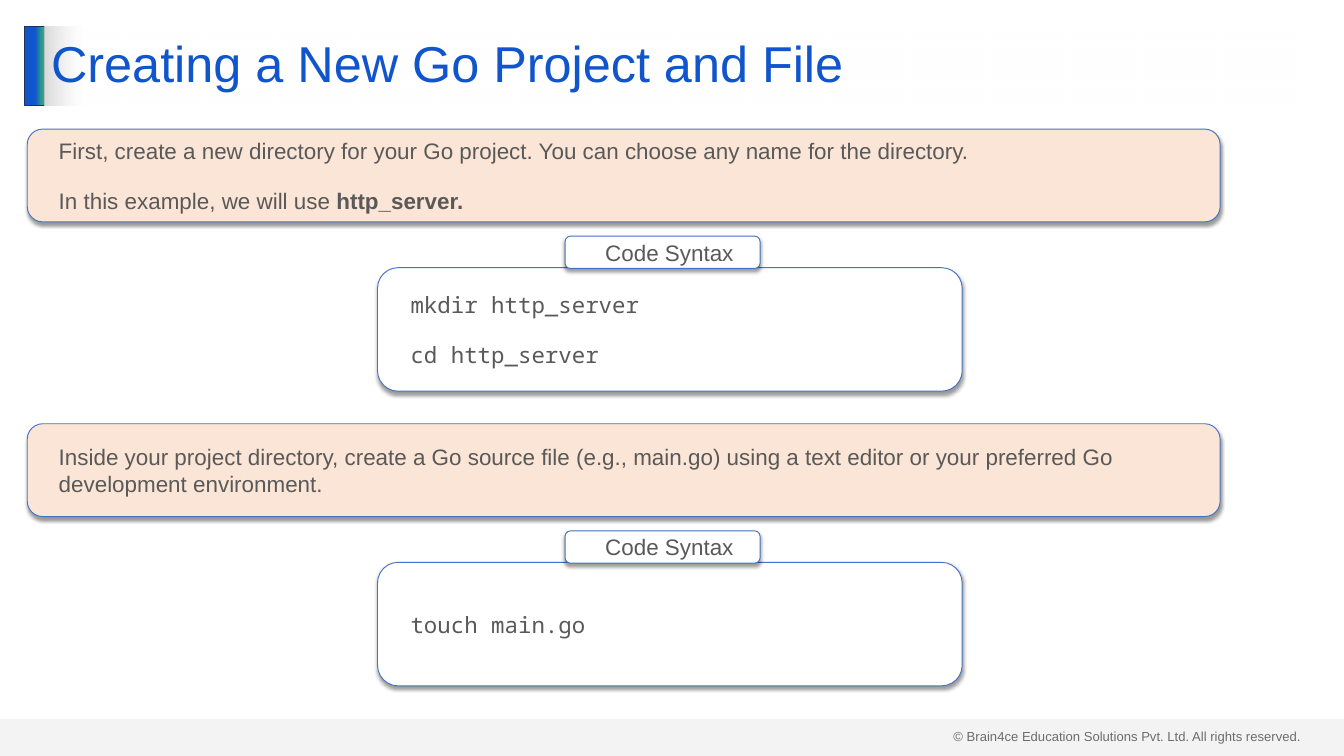
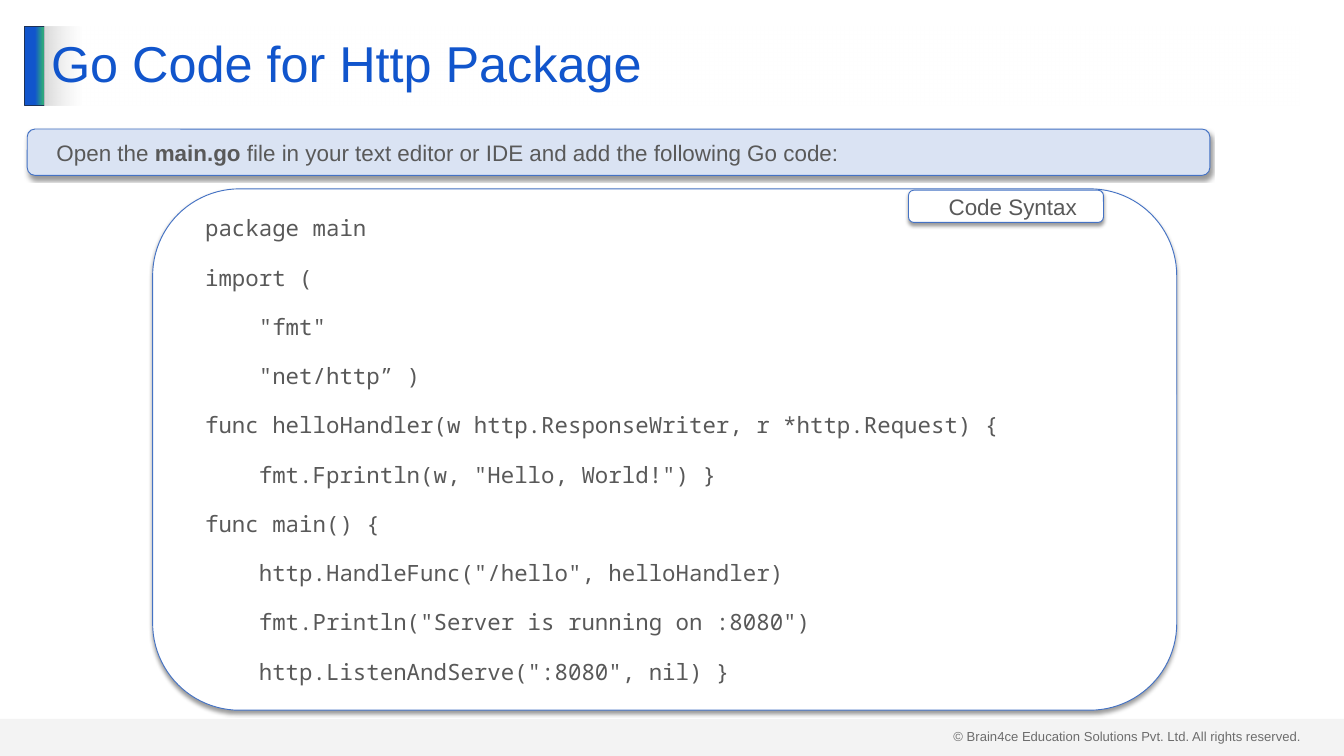
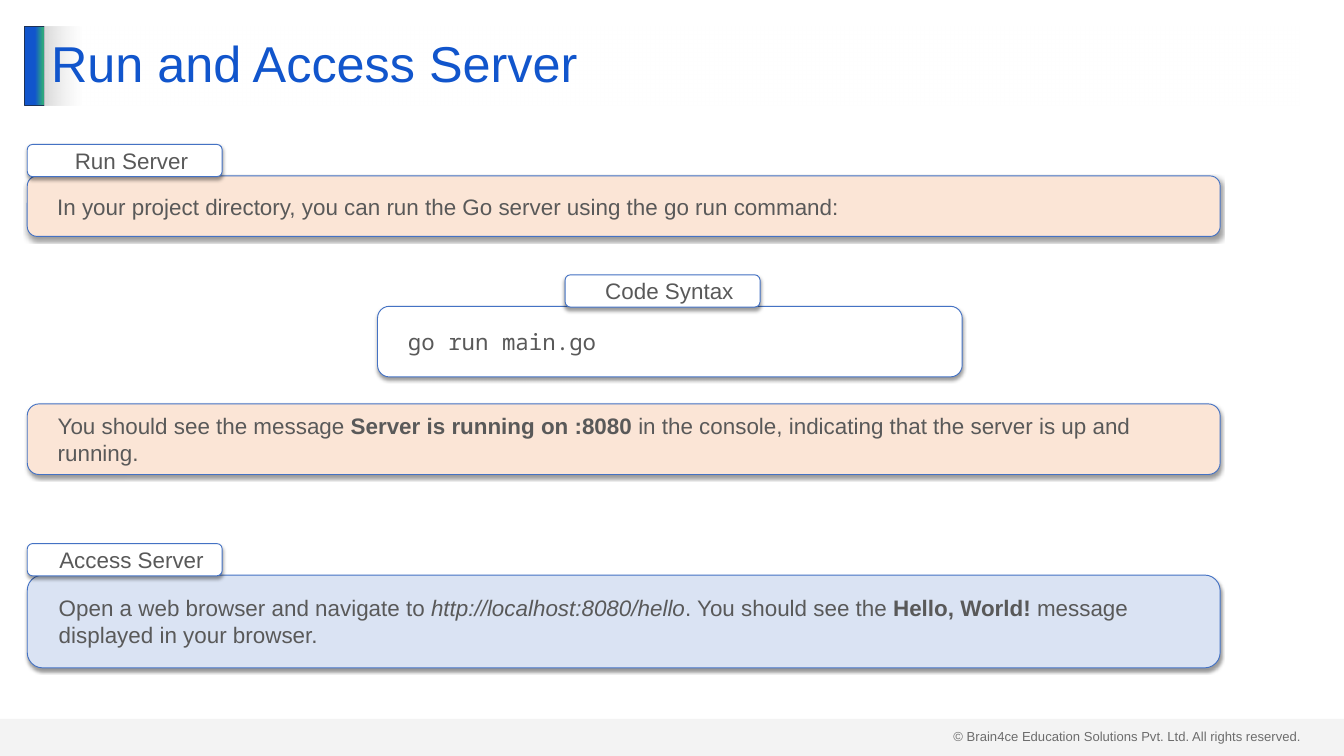
import dataclasses

import lxml.etree
import pptx
import pptx.dml.color
import pptx.enum.shapes
import pptx.enum.text
import pptx.oxml.ns
import pptx.util

Cm, Pt = pptx.util.Cm, pptx.util.Pt
SHAPES = pptx.enum.shapes.MSO_SHAPE
ALIGN = pptx.enum.text.PP_ALIGN
ANCHOR = pptx.enum.text.MSO_ANCHOR
qn = pptx.oxml.ns.qn


@dataclasses.dataclass(frozen=True)
class Theme:
    blue: str = "1155CC"
    green: str = "2EA87D"
    navy: str = "1E3256"
    grey: str = "D9D9D9"
    white: str = "FFFFFF"
    black: str = "000000"
    peach: str = "FBE5D6"
    sky: str = "DAE3F3"
    edge: str = "4472C4"
    ink: str = "595959"
    faint: str = "404040"
    sans: str = "Arial"
    mono: str = "Noto Sans Mono"
    title: int = 54
    body: int = 24
    small: int = 14


THEME = Theme()
BOLD, SLANT = {"bold": True}, {"italic": True}

# Boxes are left, top, width, height in centimetres.
WIDTH, HEIGHT = 50.8, 28.58
ACCENT = (0.94, 0.99, 0.76, 3)
HEADER = (1.68, 0.99, 47.42, 3)
BAND = (0, 27.18, WIDTH, 1.4)
CREDIT = (35.79, 27.43, 13.74, 0.86)
LEFT, WIDE = 1.03, 45.09
CODE_LEFT, CODE_WIDE = 14.27, 22.1
TAG_WIDE, TAG_HIGH = 7.37, 1.22
ABOVE = (0, -1.19)
CENTRE = (7.09, -1.19)


def rgb(code):
    return pptx.dml.color.RGBColor.from_string(code)


def assign(target, values):
    for name, value in values.items():
        setattr(target, name, value)


def add_node(parent, tag, **values):
    return lxml.etree.SubElement(parent, qn(tag), values)


def add_colour(parent, code, alpha=100):
    node = add_node(parent, "a:srgbClr", val=code)
    if alpha < 100:
        add_node(node, "a:alpha", val=str(alpha * 1000))


def add_box(slide, kind, box, line=None):
    shape = slide.shapes.add_shape(kind, *map(Cm, box))
    shape.shadow.inherit = False
    if line:
        shape.line.color.rgb = rgb(line)
        shape.line.width = Pt(1)
    else:
        shape.line.fill.background()
    return shape


def blend(shape, stops):
    """Fill from left to right with (percent, colour, opacity) stops."""
    shape.fill.gradient()
    shape.fill.gradient_angle = 0
    nodes = shape._element.spPr.find(".//" + qn("a:gsLst"))
    nodes.clear()
    for place, code, alpha in stops:
        stop = add_node(nodes, "a:gs", pos=str(place * 1000))
        add_colour(stop, code, alpha)


def add_shade(shape):
    effects = shape._element.spPr.find(qn("a:effectLst"))
    shade = add_node(effects, "a:outerShdw", blurRad=str(Pt(4)),
                     dist=str(Pt(3)), dir="5400000", algn="t", rotWithShape="0")
    add_colour(shade, THEME.black, 40)


def write_runs(para, parts, font):
    """Add runs; each part is a string or a (string, style) pair."""
    for part in [parts] if isinstance(parts, str) else parts:
        text, style = (part, {}) if isinstance(part, str) else part
        run = para.add_run()
        run.text = text
        colour, *_ = font["colour"],
        run.font.color.rgb = rgb(colour)
        assign(run.font, {"name": font["name"], "size": Pt(font["size"]), **style})


def write_body(shape, lines, face, align):
    frame = shape.text_frame
    assign(frame, {
        "word_wrap": True, "vertical_anchor": ANCHOR.MIDDLE,
        "margin_left": Cm(0.51), "margin_right": Cm(0.51),
        "margin_top": Cm(0.25), "margin_bottom": Cm(0.25)})
    font = {"name": face, "size": THEME.body, "colour": THEME.ink}
    last = len(lines) - 1
    for index, parts in enumerate(lines):
        para = frame.add_paragraph() if index else frame.paragraphs[0]
        props = para._p.get_or_add_pPr()
        props.set("marL", str(Cm(0.51)))
        props.set("indent", "0")
        assign(para, {
            "level": 1, "alignment": align,
            "space_before": Pt(12 if index else 0),
            "space_after": Pt(12 if index < last else 0)})
        write_runs(para, parts, font)


def add_card(slide, box, fill, lines, face=THEME.sans, align=ALIGN.LEFT):
    card = add_box(slide, SHAPES.ROUNDED_RECTANGLE, box, THEME.edge)
    card.fill.solid()
    card.fill.fore_color.rgb = rgb(fill)
    add_shade(card)
    write_body(card, lines, face, align)


def add_tag(slide, box, text, shift):
    """Put a small label at a shift from the corner of the box."""
    place = (box[0] + shift[0], box[1] + shift[1], TAG_WIDE, TAG_HIGH)
    add_card(slide, place, THEME.white, [text], align=ALIGN.CENTER)


def add_code(slide, box, lines, shift=CENTRE):
    add_card(slide, box, THEME.white, lines, THEME.mono)
    add_tag(slide, box, "Code Syntax", shift)


def add_step(slide, top, note, code):
    """Stack a note and the code that belongs to it."""
    add_card(slide, (LEFT, top, WIDE, 3.51), THEME.peach, note)
    add_code(slide, (CODE_LEFT, top + 5.24, CODE_WIDE, 4.67), code)


def add_frame(slide):
    """Draw the credit, the accent and the footer band."""
    credit = slide.shapes.add_textbox(*map(Cm, CREDIT))
    credit.text_frame.word_wrap = True
    write_runs(credit.text_frame.paragraphs[0],
               "© Brain4ce Education Solutions Pvt. Ltd. All rights reserved.",
               {"name": THEME.sans, "size": THEME.small, "colour": THEME.faint})
    accent = add_box(slide, SHAPES.RECTANGLE, ACCENT, THEME.navy)
    blend(accent, [(51, THEME.blue, 100), (90, THEME.green, 100),
                   (100, THEME.green, 100)])
    band = add_box(slide, SHAPES.RECTANGLE, BAND)
    band.fill.solid()
    band.fill.fore_color.rgb = rgb(THEME.grey)
    colour = band._element.spPr.find(".//" + qn("a:srgbClr"))
    add_node(colour, "a:alpha", val="29000")


def add_title(slide, text):
    title = add_box(slide, SHAPES.RECTANGLE, HEADER)
    blend(title, [(0, THEME.grey, 100), (3, THEME.white, 50)])
    assign(title.text_frame, {"word_wrap": True, "vertical_anchor": ANCHOR.MIDDLE})
    para = title.text_frame.paragraphs[0]
    assign(para, {"alignment": ALIGN.LEFT, "line_spacing": 0.9})
    write_runs(para, text,
               {"name": THEME.sans, "size": THEME.title, "colour": THEME.blue})


def start_slide(deck, title):
    slide = deck.slides.add_slide(deck.slide_layouts[6])
    add_frame(slide)
    add_title(slide, title)
    return slide


def build_setup(deck):
    slide = start_slide(deck, "Creating a New Go Project and File")
    steps = [
        (["First, create a new directory for your Go project. "
          "You can choose any name for the directory.",
          ["In this example, we will use ", ("http_server.", BOLD)]],
         ["mkdir http_server", "cd http_server"]),
        (["Inside your project directory, create a Go source file (e.g., main.go) "
          "using a text editor or your preferred Go development environment."],
         ["touch main.go"]),
    ]
    for index, (note, code) in enumerate(steps):
        add_step(slide, 4.88 + index * 11.14, note, code)


def build_source(deck):
    slide = start_slide(deck, "Go Code for Http Package")
    add_card(slide, (LEFT, 4.88, 44.7, 1.75), THEME.sky, [
        ["Open the ", ("main.go ", BOLD),
         "file in your text editor or IDE and add the following Go code:"]])
    add_code(slide, (5.77, 7.14, 38.71, 19.71), [
        'package main',
        'import (',
        '    "fmt"',
        '    "net/http” )',
        'func helloHandler(w http.ResponseWriter, r *http.Request) {',
        '    fmt.Fprintln(w, "Hello, World!") }',
        'func main() {',
        '    http.HandleFunc("/hello", helloHandler)',
        '    fmt.Println("Server is running on :8080")',
        '    http.ListenAndServe(":8080", nil) }',
    ], shift=(28.57, 0.05))


def build_run(deck):
    slide = start_slide(deck, "Run and Access Server")
    run_box = (LEFT, 6.65, WIDE, 2.29)
    add_card(slide, run_box, THEME.peach, [
        "In your project directory, you can run the Go server "
        "using the go run command:"])
    add_tag(slide, run_box, "Run Server", ABOVE)
    add_code(slide, (CODE_LEFT, 11.58, CODE_WIDE, 2.67), ["go run main.go"])
    add_card(slide, (LEFT, 15.27, WIDE, 2.67), THEME.peach, [
        ["You should see the message ", ("Server is running on :8080", BOLD),
         " in the console, indicating that the server is up and running."]])
    visit_box = (LEFT, 21.74, WIDE, 3.51)
    add_card(slide, visit_box, THEME.sky, [
        ["Open a web browser and navigate to ",
         ("http://localhost:8080/hello", SLANT), ". You should see the ",
         ("Hello, World!", BOLD), " message displayed in your browser."]])
    add_tag(slide, visit_box, "Access Server", ABOVE)


def main():
    deck = pptx.Presentation()
    assign(deck, {"slide_width": Cm(WIDTH), "slide_height": Cm(HEIGHT)})
    for build in (build_setup, build_source, build_run):
        build(deck)
    deck.save("out.pptx")


if __name__ == "__main__":
    main()
